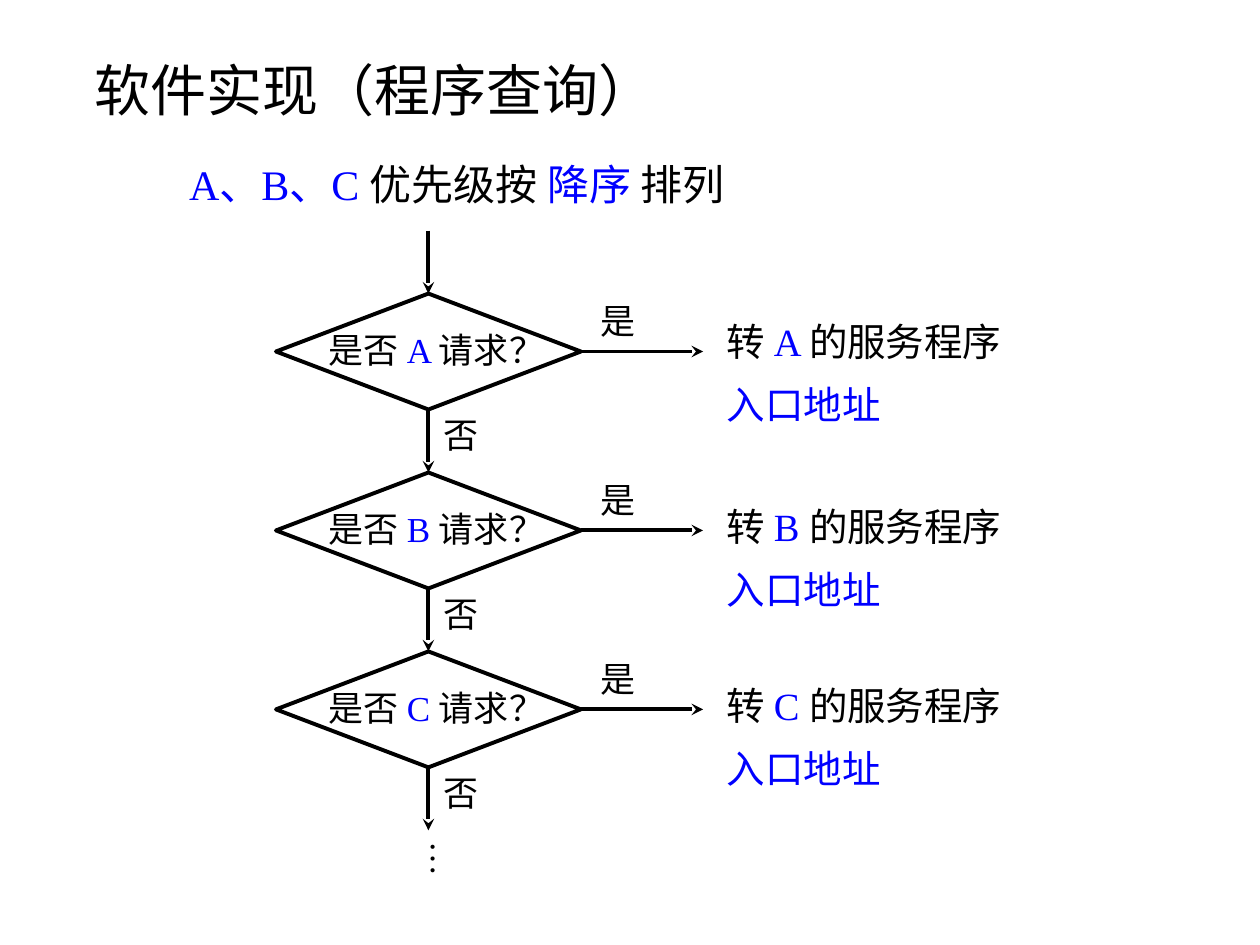
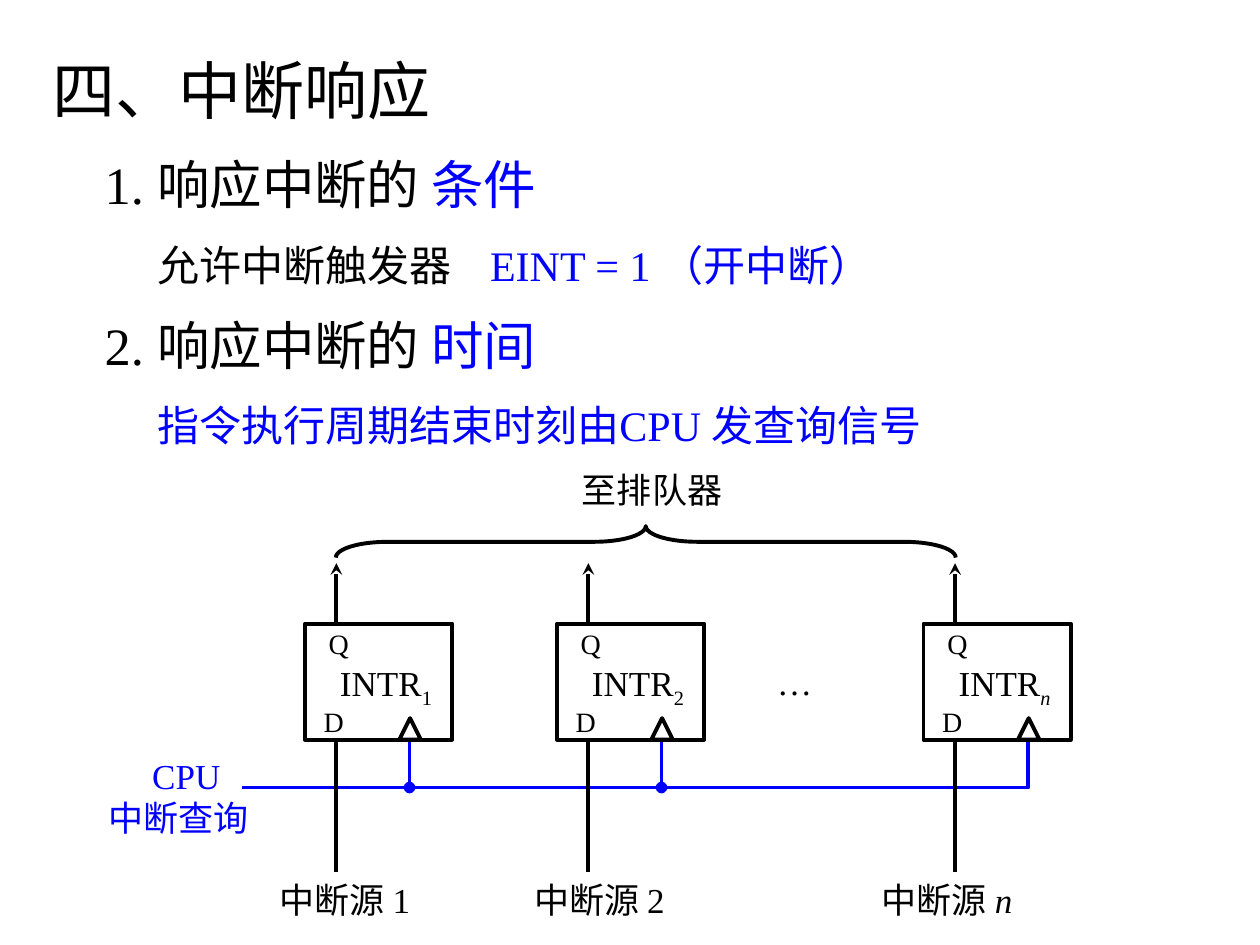
from dataclasses import dataclass
from typing import NamedTuple, Optional

from lxml.etree import SubElement
from pptx import Presentation
from pptx.dml.color import RGBColor
from pptx.enum.shapes import MSO_CONNECTOR, MSO_SHAPE
from pptx.enum.text import MSO_ANCHOR, MSO_AUTO_SIZE
from pptx.oxml.ns import qn
from pptx.shapes.autoshape import Shape
from pptx.shapes.connector import Connector
from pptx.slide import Slide
from pptx.text.text import TextFrame, _Paragraph
from pptx.util import Inches, Pt


@dataclass(frozen=True)
class Theme:
    font: str = "Times New Roman"
    ink: RGBColor = RGBColor(0x00, 0x00, 0x00)
    accent: RGBColor = RGBColor(0x00, 0x00, 0xFF)
    line: float = 2.25
    chapter: float = 36
    title: float = 32
    section: float = 30
    body: float = 24
    answer: float = 22
    label: float = 20
    pin: float = 16


THEME = Theme()


class Span(NamedTuple):
    text: str
    color: RGBColor = THEME.ink
    italic: bool = False
    subscript: bool = False


class Box(NamedTuple):
    left: float
    top: float
    width: float
    height: float


class Insets(NamedTuple):
    left: float = 0.1
    top: float = 0.05
    right: float = 0.1
    bottom: float = 0.05


class Request(NamedTuple):
    name: str
    answer_top: float


class Trigger(NamedTuple):
    left: float
    index: Span
    source_left: float


def accent(text: str) -> Span:
    return Span(text, THEME.accent)


# Shared drawing functions

def add_spans(paragraph: _Paragraph, spans: list[Span], size: float) -> None:
    for span in spans:
        run = paragraph.add_run()
        run.text = span.text
        run.font.name = THEME.font
        run.font.size = Pt(size)
        run.font.color.rgb = span.color
        if span.italic:
            run.font.italic = True
        if span.subscript:
            run._r.get_or_add_rPr().set("baseline", "-25000")


def add_text(slide: Slide, box: Box, lines: list[list[Span]], size: float,
             insets: Insets = Insets(), wrap: bool = False) -> TextFrame:
    frame = slide.shapes.add_textbox(*map(Inches, box)).text_frame
    frame.word_wrap = wrap
    frame.auto_size = MSO_AUTO_SIZE.SHAPE_TO_FIT_TEXT
    frame.margin_left, frame.margin_top, frame.margin_right, frame.margin_bottom = map(Inches, insets)
    for number, spans in enumerate(lines):
        paragraph = frame.add_paragraph() if number else frame.paragraphs[0]
        add_spans(paragraph, spans, size)
    return frame


def add_heading(slide: Slide, box: Box, spans: list[Span], size: float) -> TextFrame:
    frame = add_text(slide, box, [spans], size, Insets(left=0, right=0), wrap=True)
    frame.auto_size = MSO_AUTO_SIZE.NONE
    frame.vertical_anchor = MSO_ANCHOR.MIDDLE
    return frame


def style_outline(shape: Shape, color: RGBColor = THEME.ink) -> None:
    shape.fill.background()
    shape.line.color.rgb = color
    shape.line.width = Pt(THEME.line)
    shape.shadow.inherit = False


def add_outline(slide: Slide, kind: MSO_SHAPE, box: Box) -> Shape:
    shape = slide.shapes.add_shape(kind, *map(Inches, box))
    style_outline(shape)
    return shape


def add_line(slide: Slide, start: tuple[float, float], end: tuple[float, float],
             color: RGBColor = THEME.ink, tail: Optional[str] = None) -> Connector:
    connector = slide.shapes.add_connector(MSO_CONNECTOR.STRAIGHT, *map(Inches, start + end))
    connector.line.color.rgb = color
    connector.line.width = Pt(THEME.line)
    if tail:
        SubElement(connector.line._get_or_add_ln(), qn("a:tailEnd"), type=tail)
    SubElement(connector._element.spPr, qn("a:effectLst"))
    return connector


# Slide 1: polling flowchart

REQUESTS = [Request("A", 2.53), Request("B", 4.0), Request("C", 5.42)]
DIAMOND = Box(2.19, 2.33, 2.42, 0.92)
ROW_PITCH = 1.42
ARROW_LENGTH = 0.5
BRANCH_END = 5.58


def build_polling(slide: Slide) -> None:
    add_heading(slide, Box(0.75, 0.42, 5.75, 0.58), [Span("软件实现（程序查询）")], THEME.title)
    add_heading(slide, Box(1.5, 1.17, 5.75, 0.58),
                [accent("A、B、C "), Span("优先级按 "), accent("降序 "), Span("排列")], THEME.body)

    # Decisions with their yes branches
    decisions = []
    axis = DIAMOND.left + DIAMOND.width / 2
    for row, request in enumerate(REQUESTS):
        top = DIAMOND.top + row * ROW_PITCH
        middle, bottom = top + DIAMOND.height / 2, top + DIAMOND.height
        decision = add_outline(slide, MSO_SHAPE.DIAMOND, DIAMOND._replace(top=top))
        decisions.append(decision)
        add_text(slide, Box(2.61, top + 0.28, 2.15, 0.39),
                 [[Span("是否 "), accent(f"{request.name} "), Span("请求？")]],
                 THEME.label, Insets(left=0, top=0), wrap=True)
        branch = add_line(slide, (DIAMOND.left + DIAMOND.width, middle), (BRANCH_END, middle), tail="stealth")
        branch.begin_connect(decision, 3)
        for answer, left, answer_top in (("是", 4.67, top), ("否", 3.42, bottom - 0.02)):
            add_text(slide, Box(left, answer_top, 0.67, 0.44), [[Span(answer)]], THEME.label, wrap=True)
        service = add_text(slide, Box(5.67, request.answer_top, 3.83, 0.92),
                           [[Span("转 "), accent(f"{request.name} "), Span("的服务程序")],
                            [accent("入口地址")]], THEME.answer, wrap=True)
        for paragraph in service.paragraphs:
            paragraph.line_spacing = 0.85
            paragraph.space_before = Pt(13.8)

    # Arrows down the main axis
    for row, (above, below) in enumerate(zip([None, *decisions], [*decisions, None])):
        end = DIAMOND.top + row * ROW_PITCH
        arrow = add_line(slide, (axis, end - ARROW_LENGTH), (axis, end), tail="stealth")
        if above:
            arrow.begin_connect(above, 2)
        if below:
            arrow.end_connect(below, 0)
    more = add_text(slide, Box(3.22, 6.58, 0.53, 0.38), [[Span("…")]], THEME.label,
                    Insets(0.05, 0.1, 0.05, 0.1))
    more._txBody.bodyPr.set("vert", "eaVert")


# Slide 2: interrupt response

TRIGGERS = [
    Trigger(2.42, Span("1"), 2.12),
    Trigger(4.42, Span("2"), 4.14),
    Trigger(7.33, Span("n", italic=True), 6.9),
]
TRIGGER_TOP, TRIGGER_WIDTH, TRIGGER_HEIGHT = 4.95, 1.17, 0.92
TRIGGER_BOTTOM = TRIGGER_TOP + TRIGGER_HEIGHT
PIN_OFFSET, CLOCK_OFFSET = 0.25, 0.83
BUS_LEFT, BUS_Y = 1.92, 6.25


def add_query_bus(slide: Slide) -> None:
    *tapped, last = [trigger.left + CLOCK_OFFSET for trigger in TRIGGERS]
    outline = slide.shapes.build_freeform(Inches(BUS_LEFT), Inches(BUS_Y))
    outline.add_line_segments([(Inches(last), Inches(BUS_Y)), (Inches(last), Inches(TRIGGER_BOTTOM))],
                              close=False)
    style_outline(outline.convert_to_shape(), THEME.accent)
    for clock in tapped:
        add_line(slide, (clock, TRIGGER_BOTTOM), (clock, BUS_Y), THEME.accent, "oval")
    caption = add_text(slide, Box(0.76, 5.94, 1.31, 0.77), [[accent("CPU")], [accent("中断查询")]],
                       THEME.label)
    caption.paragraphs[0]._p.get_or_add_pPr().set("marL", str(Inches(0.35)))


def add_trigger(slide: Slide, trigger: Trigger) -> None:
    left = trigger.left
    pin = left + PIN_OFFSET
    add_line(slide, (pin, TRIGGER_TOP), (pin, TRIGGER_TOP - 0.48), tail="stealth")
    add_outline(slide, MSO_SHAPE.RECTANGLE, Box(left, TRIGGER_TOP, TRIGGER_WIDTH, TRIGGER_HEIGHT))
    add_text(slide, Box(left + 0.18, 5.2, 0.93, 0.48),
             [[Span("INTR"), trigger.index._replace(subscript=True)]], THEME.label)
    for name, offset, top in (("D", 0.05, 5.54), ("Q", 0.09, 4.92)):
        add_text(slide, Box(left + offset, top, 0.36, 0.37), [[Span(name)]], THEME.pin)
    add_outline(slide, MSO_SHAPE.ISOSCELES_TRIANGLE, Box(left + 0.75, 5.7, 0.17, 0.17))
    add_line(slide, (pin, TRIGGER_BOTTOM), (pin, 6.92))
    add_text(slide, Box(trigger.source_left, 6.92, 1.3, 0.44),
             [[Span("中断源 "), trigger.index]], THEME.label)


def build_response(slide: Slide) -> None:
    # Headings
    add_heading(slide, Box(0.42, 0.42, 6.92, 0.58), [Span("四、中断响应")], THEME.chapter)
    for number, (topic, top) in enumerate((("条件", 1.17), ("时间", 2.44)), start=1):
        add_heading(slide, Box(0.83, top, 4.25, 0.58),
                    [Span(f"{number}. 响应中断的 "), accent(topic)], THEME.section)
    condition = add_heading(slide, Box(1.25, 1.81, 6, 0.58),
                            [Span("允许中断触发器\t"), accent("EINT = 1 （开中断）")], THEME.body)
    stops = SubElement(condition.paragraphs[0]._p.get_or_add_pPr(), qn("a:tabLst"))
    SubElement(stops, qn("a:tab"), pos=str(Inches(2.64)), algn="l")
    add_heading(slide, Box(1.25, 3.08, 7.33, 0.58),
                [accent("指令执行周期结束时刻由CPU 发查询信号")], THEME.body)

    # Brace to the arbiter
    add_text(slide, Box(4.52, 3.67, 1.31, 0.44), [[Span("至排队器")]], THEME.label)
    brace = add_outline(slide, MSO_SHAPE.LEFT_BRACE, Box(5, 1.84, 0.25, 4.92))
    brace.adjustments[0] = 1.64
    brace.rotation = 90

    # Query line and triggers
    add_query_bus(slide)
    for trigger in TRIGGERS:
        add_trigger(slide, trigger)
    add_text(slide, Box(6.07, 5.19, 0.48, 0.44), [[Span("…")]], THEME.label)


def main() -> None:
    deck = Presentation()
    deck.slide_width, deck.slide_height = Inches(10), Inches(7.5)
    blank = deck.slide_layouts[6]
    for build in (build_polling, build_response):
        build(deck.slides.add_slide(blank))
    deck.save("out.pptx")


if __name__ == "__main__":
    main()
